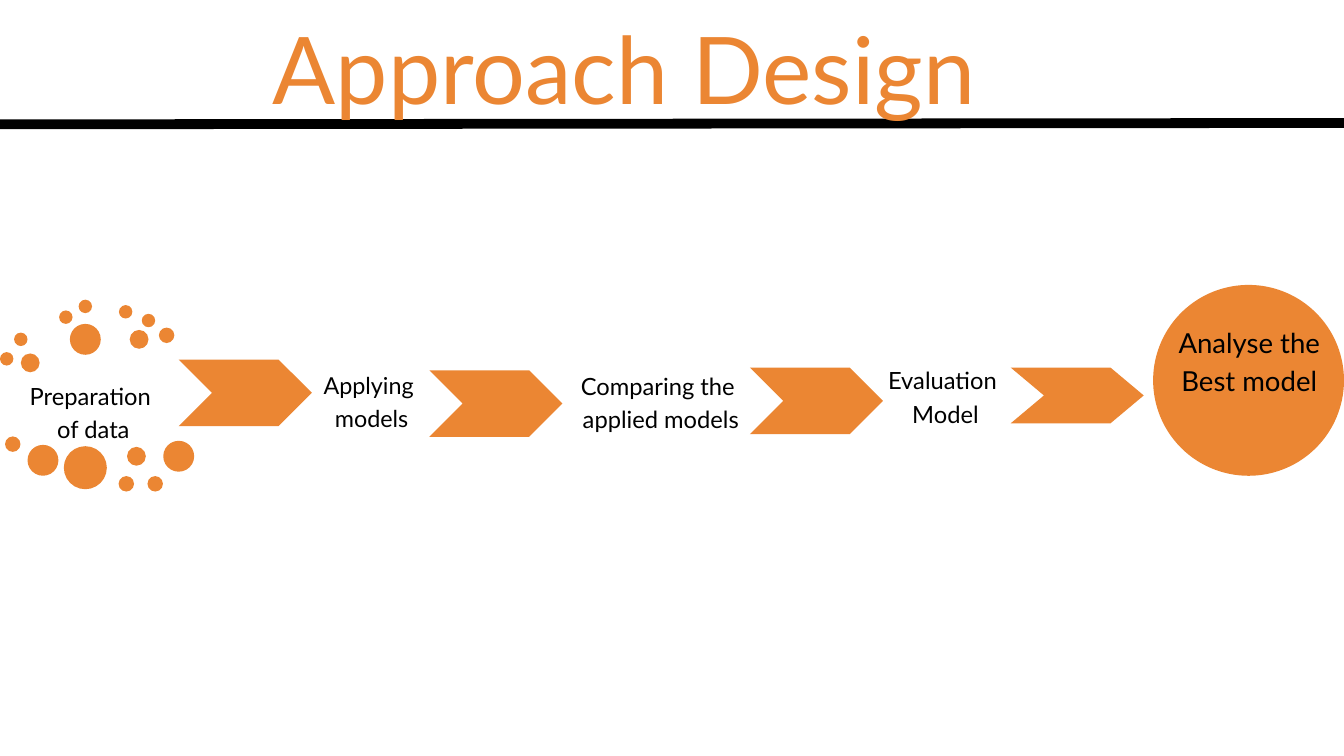
"""Build the Approach Design process slide."""
from dataclasses import dataclass

from lxml import etree
from pptx import Presentation
from pptx.dml.color import RGBColor
from pptx.enum.shapes import MSO_CONNECTOR, MSO_SHAPE
from pptx.enum.text import MSO_ANCHOR, PP_ALIGN
from pptx.oxml.ns import qn
from pptx.util import Inches, Pt

STRAIGHT = MSO_CONNECTOR.STRAIGHT
CHEVRON, OVAL = MSO_SHAPE.CHEVRON, MSO_SHAPE.OVAL
TOP, MIDDLE = MSO_ANCHOR.TOP, MSO_ANCHOR.MIDDLE
CENTER = PP_ALIGN.CENTER

COLUMNS, ROWS = 20, 11.25
CELL = Inches(1)


@dataclass(frozen=True)
class Theme:
    """Colours, font and type sizes of the deck."""
    accent: RGBColor = RGBColor(0xEB, 0x86, 0x33)
    ink: RGBColor = RGBColor(0, 0, 0)
    font: str = "Lato"
    title: float = 100
    result: float = 29.5
    step: float = 25.4
    short_step: float = 25
    leading: float = 1.4
    rule: float = 10.5


THEME = Theme()

STEPS = [
    (0.32, 5.61, 2.14, ["Preparation ", "of data"], THEME.step),
    (4.73, 5.46, 1.51, ["Applying", " models"], THEME.short_step),
    (8.51, 5.46, 2.65, ["Comparing the ", "applied models"], THEME.step),
    (13.11, 5.38, 1.92, ["Evaluation ", "Model"], THEME.step),
]
STEP_HEIGHT = 0.96

ARROWS = [(2.66, 5.35, 0.99), (6.39, 5.51, 0.99), (11.16, 5.47, 0.99), (15.04, 5.47, 0.83)]
ARROW_WIDTH, ARROW_POINT = 1.98, 0.495

DOT_CENTERS = {
    0.2: [(0.31, 5.05), (0.1, 5.34), (0.98, 4.72), (1.27, 4.56), (1.87, 4.64), (2.21, 4.77)],
    0.23: [(2.48, 4.99), (0.19, 6.61), (1.88, 7.2), (2.31, 7.2)],
    0.28: [(2.03, 6.79), (0.45, 5.4), (2.07, 5.05)],
    0.46: [(1.27, 5.05), (0.64, 6.85), (2.66, 6.79)],
    0.64: [(1.27, 6.96)],
}
RESULT_CENTER, RESULT_DIAMETER = (18.58, 5.66), 2.84


def grid(*cells):
    """Convert counts of grid cells to slide lengths."""
    return [int(CELL * count) for count in cells]


def apply_format(target, values):
    """Set each named attribute on the target."""
    for name, value in values.items():
        setattr(target, name, value)


def add_shape(page, kind, left, top, width, height):
    """Add a flat accent-coloured preset shape."""
    shape = page.shapes.add_shape(kind, *grid(left, top, width, height))
    shape.shadow.inherit = False
    shape.fill.solid()
    shape.fill.fore_color.rgb = THEME.accent
    shape.line.fill.background()
    return shape


def add_circle(page, center, diameter):
    """Add a circle around its centre."""
    left, top = (place - diameter / 2 for place in center)
    add_shape(page, OVAL, left, top, diameter, diameter)


def add_arrow(page, left, top, height):
    """Add a chevron whose point has a constant length."""
    arrow = add_shape(page, CHEVRON, left, top, ARROW_WIDTH, height)
    arrow.adjustments[0] = ARROW_POINT / height


def add_text(page, place, lines, size, color=THEME.ink, anchor=TOP, margin=0, below=0):
    """Add centred lines of text, with optional extra room below."""
    frame = page.shapes.add_textbox(*grid(*place)).text_frame
    side, bottom = grid(margin, margin + below)
    apply_format(frame, {
        "word_wrap": True, "vertical_anchor": anchor, "margin_left": side,
        "margin_right": side, "margin_top": side, "margin_bottom": bottom,
    })
    for index, line in enumerate(lines):
        para = frame.add_paragraph() if index else frame.paragraphs[0]
        apply_format(para, {"alignment": CENTER, "line_spacing": Pt(size * THEME.leading)})
        span = para.add_run()
        span.text = line
        apply_format(span.font, {"name": THEME.font, "size": Pt(size)})
        span.font.color.rgb = color


def add_rule(page):
    """Add the heavy rule below the title."""
    rule = page.shapes.add_connector(STRAIGHT, *grid(0, 1.85, COLUMNS, 1.83))
    rule.line.color.rgb = THEME.ink
    rule.line.width = Pt(THEME.rule)
    etree.SubElement(rule._element.spPr, qn("a:effectLst"))


def main():
    """Build and save the deck."""
    deck = Presentation()
    width, height = grid(COLUMNS, ROWS)
    apply_format(deck, {"slide_width": width, "slide_height": height})
    page = deck.slides.add_slide(deck.slide_layouts[6])

    add_rule(page)
    add_circle(page, RESULT_CENTER, RESULT_DIAMETER)
    add_text(page, (17.43, 4.31, 2.32, 2.52), ["Analyse the Best model"],
             THEME.result, anchor=MIDDLE, margin=0.06, below=0.46)
    for arrow in ARROWS:
        add_arrow(page, *arrow)
    add_text(page, (0, -0.11, 18.57, 1.87), ["Approach Design"], THEME.title, THEME.accent)
    for left, top, span_width, lines, size in STEPS:
        add_text(page, (left, top, span_width, STEP_HEIGHT), lines, size)
    for diameter, centers in DOT_CENTERS.items():
        for center in centers:
            add_circle(page, center, diameter)

    deck.save("out.pptx")


if __name__ == "__main__":
    main()
